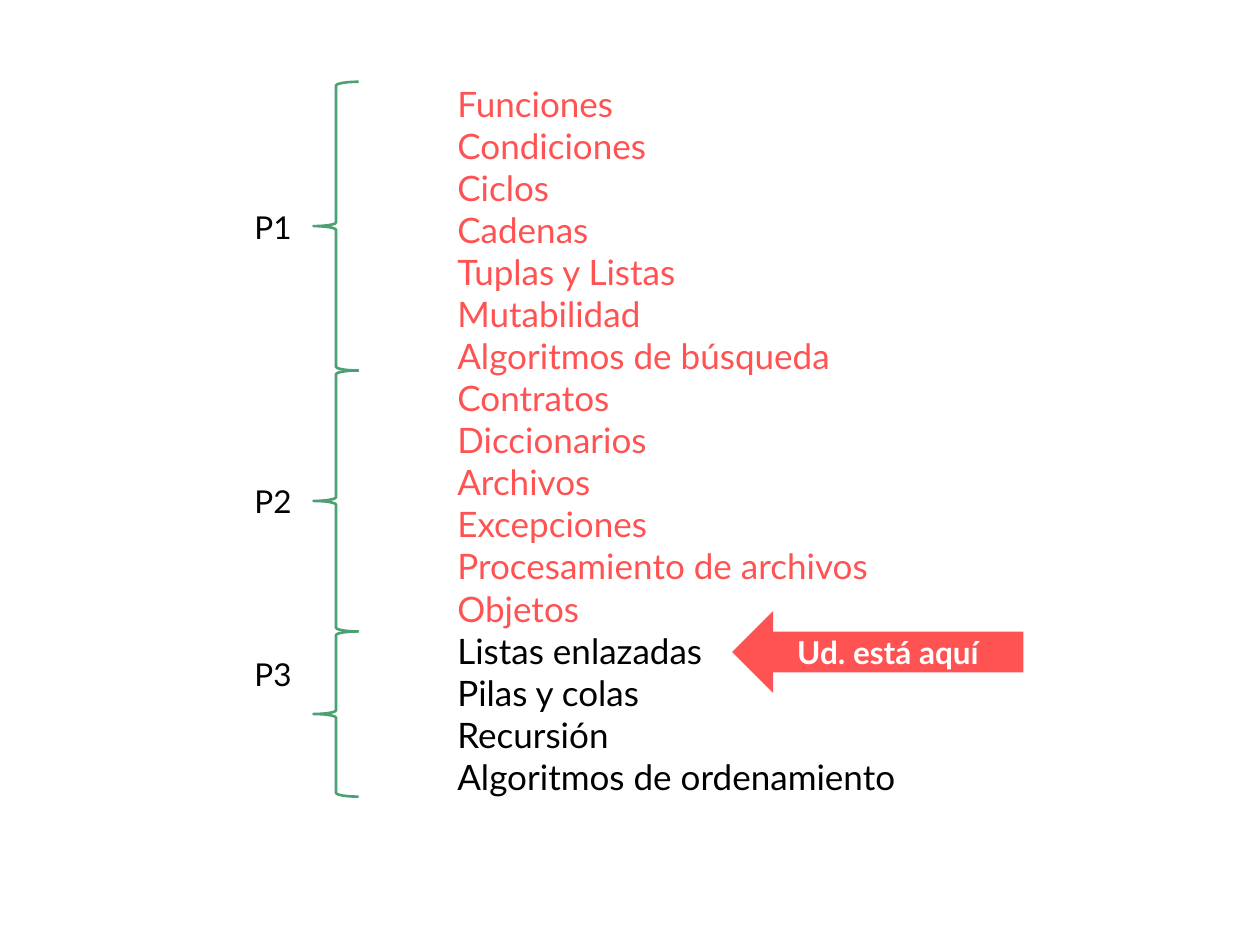
"""Build the course roadmap slide with its three parts and the current position."""
from pptx import Presentation
from pptx.dml.color import RGBColor
from pptx.enum.shapes import MSO_SHAPE as Shape
from pptx.enum.text import MSO_ANCHOR as Anchor, PP_ALIGN as Align
from pptx.util import Cm, Pt

FONT = "Lato"
RED, GREEN, BLACK, WHITE = "FF5252", "4BA173", "000000", "FFFFFF"
DONE = ["Funciones", "Condiciones", "Ciclos", "Cadenas", "Tuplas y Listas",
        "Mutabilidad", "Algoritmos de búsqueda", "Contratos", "Diccionarios",
        "Archivos", "Excepciones", "Procesamiento de archivos", "Objetos"]
PENDING = ["Listas enlazadas", "Pilas y colas", "Recursión",
           "Algoritmos de ordenamiento"]
# name, brace height, label centre, label height
PARTS = [("P1", 5.82, 4.58, 1.7), ("P2", 5.26, 10.1, 1.7), ("P3", 3.33, 13.58, 0.53)]
BRACE_LEFT, BRACE_TOP, BRACE_WIDTH = 6.32, 1.65, 0.91
LABEL_LEFT, LABEL_WIDTH = 4.78, 1.35


def color(value):
    return RGBColor.from_string(value)


def write(shape, lines, size, colors, align=Align.LEFT, anchor=Anchor.TOP, bold=False):
    frame = shape.text_frame
    frame.text = "\n".join(lines)
    frame.word_wrap = True
    frame.vertical_anchor = anchor
    frame.margin_left = frame.margin_right = Cm(0.25)
    frame.margin_top = frame.margin_bottom = Cm(0.25)
    for paragraph, value in zip(frame.paragraphs, colors):
        paragraph.alignment = align
        font = paragraph.runs[0].font
        font.name, font.size, font.bold = FONT, Pt(size), bold
        font.color.rgb = color(value)


def add_text(slide, box, *args, **options):
    write(slide.shapes.add_textbox(*map(Cm, box)), *args, **options)


def add_brace(slide, top, height):
    brace = slide.shapes.add_shape(
        Shape.LEFT_BRACE, *map(Cm, (BRACE_LEFT, top, BRACE_WIDTH, height)))
    brace.shadow.inherit = False
    brace.fill.background()
    brace.line.color.rgb = color(GREEN)
    brace.line.width = Pt(1.5)


def add_arrow(slide, box, caption):
    arrow = slide.shapes.add_shape(Shape.LEFT_ARROW, *map(Cm, box))
    arrow.shadow.inherit = False
    arrow.fill.solid()
    arrow.fill.fore_color.rgb = color(RED)
    arrow.line.fill.background()
    write(arrow, [caption], 18, [WHITE], Align.CENTER, Anchor.MIDDLE, bold=True)


def main():
    presentation = Presentation()
    presentation.slide_width, presentation.slide_height = Cm(25.4), Cm(19.05)
    slide = presentation.slides.add_slide(presentation.slide_layouts[6])

    topic_colors = [RED] * len(DONE) + [BLACK] * len(PENDING)
    add_text(slide, (8.97, 1.42, 9.37, 16.23), DONE + PENDING, 20, topic_colors)
    add_arrow(slide, (14.76, 12.32, 5.87, 1.65), "Ud. está aquí")

    top = BRACE_TOP
    for name, height, center, label_height in PARTS:
        add_brace(slide, top, height)
        box = (LABEL_LEFT, center - label_height / 2, LABEL_WIDTH, label_height)
        add_text(slide, box, [name], 18, [BLACK], Align.RIGHT, Anchor.MIDDLE)
        top += height

    presentation.save("out.pptx")


if __name__ == "__main__":
    main()
